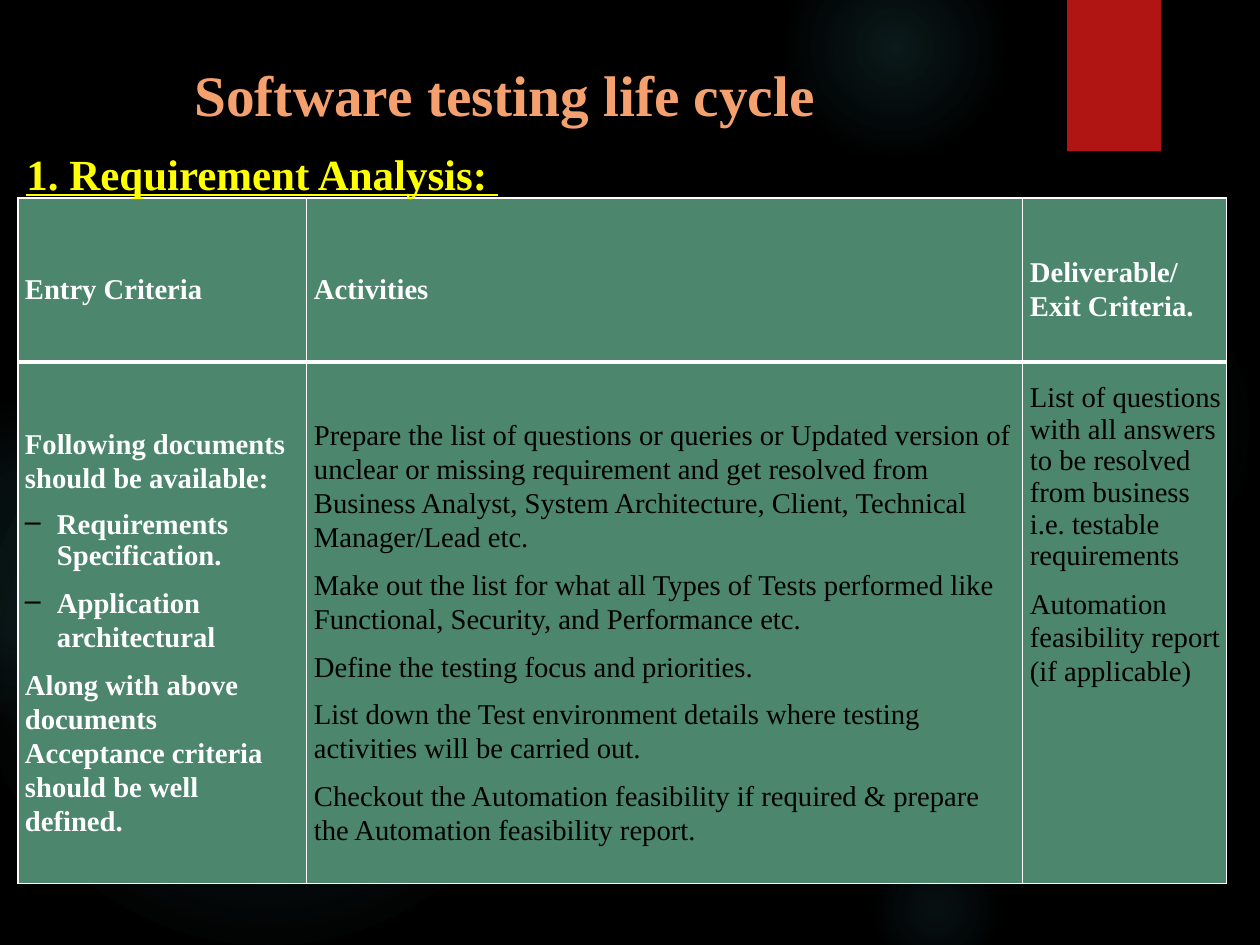
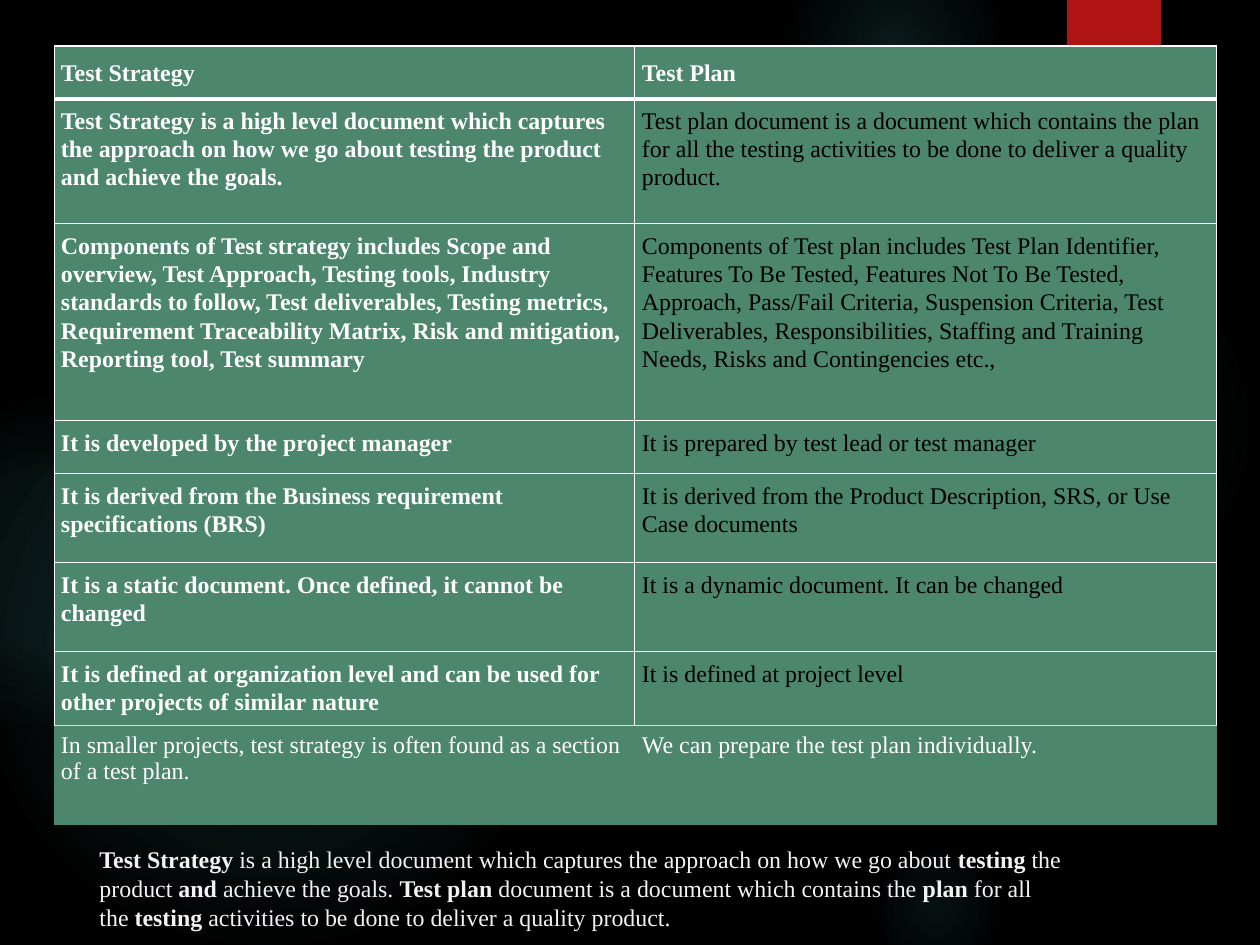
"""Build two slides on the software testing life cycle: requirement analysis, and test strategy against test plan."""
from pptx import Presentation
from pptx.dml.color import RGBColor
from pptx.enum.shapes import MSO_SHAPE as Shape
from pptx.enum.text import MSO_ANCHOR as Anchor
from pptx.oxml import parse_xml
from pptx.oxml.ns import nsdecls, qn
from pptx.util import Pt

PX = 13411200 / 1260
FONT = "Times New Roman"
NBSP = chr(160)
COLORS = {
    "black": "000000",
    "white": "FFFFFF",
    "green": "4B866D",
    "red": "B01513",
    "glow": "50B9C1",
    "title": "F4A16F",
    "heading": "FFFF00",
    "summary": "F2F2F2",
    "rule": "DDDDDD",
}
RGB = {name: RGBColor.from_string(value) for name, value in COLORS.items()}
GRID = {side: ("white", 1) for side in "LRTB"}
HEADER_GRID = GRID | {"B": ("white", 3)}


def px(*lengths):
    return [round(length * PX) for length in lengths]


def write(frame, lines, size, ink, bold=False):
    frame.word_wrap = True
    frame.text = "\n".join(line[0] for line in lines)
    for paragraph, (_, after, spacing, *dash) in zip(frame.paragraphs, lines):
        paragraph.space_after = Pt(after)
        paragraph.line_spacing = spacing
        props = paragraph._p.get_or_add_pPr()
        if dash:
            props.set("marL", str(px(32)[0]))
            props.set("indent", str(px(-32)[0]))
            props.append(parse_xml(f'<a:buClr {nsdecls("a")}><a:srgbClr val="{COLORS["black"]}"/></a:buClr>'))
            props.append(parse_xml(f'<a:buChar {nsdecls("a")} char="{dash[0]}"/>'))
        for run in paragraph.runs:
            run.font.name, run.font.size, run.font.bold = FONT, Pt(size), bold
            run.font.color.rgb = RGB[ink]


prs = Presentation()
prs.slide_width, prs.slide_height = px(1260, 945)
analysis, comparison = [prs.slides.add_slide(prs.slide_layouts[6]) for _ in range(2)]

glows = [
    (868, 231, 388, [(0, 7), (36, 6), (69, 0)]),
    (784, -63, 221, [(0, 14), (36, 7), (73, 0)]),
    (868, 840, 137, [(0, 9), (36, 5), (66, 0)]),
    (-21, 368, 577, [(0, 11), (36, 10), (75, 0)]),
    (-116, 399, 326, [(0, 8), (36, 8), (72, 0)]),
]
for slide in (analysis, comparison):
    slide.background.fill.solid()
    slide.background.fill.fore_color.rgb = RGB["black"]
    for left, top, size, fade in glows:
        glow = slide.shapes.add_shape(Shape.OVAL, *px(left, top, size, size))
        glow.shadow.inherit = False
        glow.line.fill.background()
        stops = "".join(
            f'<a:gs pos="{pos * 1000}"><a:srgbClr val="{COLORS["glow"]}"><a:alpha val="{alpha * 1000}"/></a:srgbClr></a:gs>'
            for pos, alpha in fade
        )
        glow._element.spPr.find(qn("a:prstGeom")).addnext(parse_xml(
            f'<a:gradFill {nsdecls("a")}><a:gsLst>{stops}</a:gsLst><a:path path="circle">'
            '<a:fillToRect l="50000" t="50000" r="50000" b="50000"/></a:path></a:gradFill>'
        ))
    ribbon = slide.shapes.add_shape(Shape.RECTANGLE, *px(1067, 0, 94, 151))
    ribbon.fill.solid()
    ribbon.fill.fore_color.rgb = RGB["red"]
    ribbon.line.fill.background()
    ribbon.shadow.inherit = False
    ribbon._element.spPr.find(qn("a:effectLst")).append(parse_xml(
        f'<a:outerShdw {nsdecls("a")} blurRad="{Pt(3)}" dist="{Pt(2)}" dir="5400000">'
        f'<a:srgbClr val="{COLORS["black"]}"><a:alpha val="45000"/></a:srgbClr></a:outerShdw>'
    ))

title = analysis.shapes.add_textbox(*px(186, 49, 983, 98)).text_frame
write(title, [("Software testing life cycle", 0, 1)], 48, "title", True)
title.margin_top = px(10)[0]

phases = [
    [
        [("Entry Criteria", 0, 1.07)],
        [("Activities", 0, 1.07)],
        [("Deliverable/", 0, 1.07), ("Exit Criteria.", 0, 1.07)],
    ],
    [
        [
            ("Following documents should be available:", 12, 1.07),
            ("Requirements Specification.", 12, 1, "–"),
            ("Application architectural", 12, 1.07, "–"),
            ("Along with above documents", 0, 1.07),
            ("Acceptance criteria should be well defined.", 0, 1.07),
        ],
        [
            ("Prepare the list of questions or queries or Updated version of unclear or missing requirement and get "
             "resolved from Business Analyst, System Architecture, Client, Technical Manager/Lead etc.", 12, 1.07),
            ("Make out the list for what all Types of Tests performed like Functional, Security, and Performance etc.",
             12, 1.07),
            ("Define the testing focus and priorities.", 11, 1.07),
            ("List down the Test environment details where testing activities will be carried out.", 12, 1.07),
            ("Checkout the Automation feasibility if required & prepare the Automation feasibility report.", 0, 1.07),
        ],
        [
            ("List of questions", 0, 1.07),
            ("with all answers to be resolved from business i.e. testable requirements", 12, 1),
            ("Automation", 0, 1.07),
            ("feasibility report (if applicable)", 0, 1.07),
        ],
    ],
]
differences = [
    ("Test Strategy", "Test Plan"),
    ("Test Strategy is a high level document which captures the approach on how we go about testing the product "
     "and achieve the goals.",
     "Test plan document is a document which contains the plan for all the testing activities to be done to deliver "
     "a quality product."),
    ("Components of Test strategy includes Scope and overview, Test Approach, Testing tools, Industry standards to "
     "follow, Test deliverables, Testing metrics, Requirement Traceability Matrix, Risk and mitigation, Reporting "
     "tool, Test summary",
     "Components of Test plan includes Test Plan Identifier, Features To Be Tested, Features Not To Be Tested, "
     "Approach, Pass/Fail Criteria, Suspension Criteria, Test Deliverables, Responsibilities, Staffing and Training "
     "Needs, Risks and Contingencies etc.,"),
    ("It is developed by the project manager", "It is prepared by test lead or test manager"),
    ("It is derived from the Business requirement specifications (BRS)",
     "It is derived from the Product Description, SRS, or Use Case documents"),
    ("It is a static document. Once defined, it cannot be changed", "It is a dynamic document. It can be changed"),
    ("It is defined at organization level and can be used for other projects of similar nature",
     "It is defined at project level"),
]
small_projects = (
    "In smaller projects, test strategy is often found as a section of a test plan.",
    "We can prepare the test plan individually.",
)
summary = [
    "Test Strategy",
    "is a high level document which captures the approach on how we go about",
    "testing",
    "the product",
    "and",
    "achieve the goals.",
    "Test plan",
    "document is a document which contains the",
    "plan",
    "for all the",
    "testing",
    "activities to be done to deliver a quality product.",
]

overview = comparison.shapes.add_textbox(*px(91, 813, 1126, 125)).text_frame
write(overview, [("", 0, 1)], 20, "summary")
overview.margin_top = px(32)[0]
for index, phrase in enumerate(summary):
    run = overview.paragraphs[0].add_run()
    run.text = NBSP + phrase if index else phrase
    run.font.name, run.font.size, run.font.bold = FONT, Pt(20), index % 2 == 0
    run.font.color.rgb = RGB["summary"]

tables = [
    (analysis, (18, 198), (289, 716, 204), (164, 522), phases, 24, (7, 18, 4, 0), True),
    (comparison, (54, 46), (581, 582), (53, 125, 197, 53, 89, 89, 89),
     [[[(text, 8, 1.07)] for text in row] for row in differences], 20, (7, 7, 7, 7), True),
    (comparison, (54, 725), (581, 582), (100,), [[[(text, 0, 1)] for text in small_projects]], 20, (7, 7, 7, 7), False),
]
for slide, corner, widths, heights, rows, size, insets, gridded in tables:
    table = slide.shapes.add_table(len(rows), len(widths), *px(*corner, sum(widths), sum(heights))).table
    table.horz_banding = False
    table.first_row = gridded
    for column, width in zip(table.columns, px(*widths)):
        column.width = width
    for row, height in zip(table.rows, px(*heights)):
        row.height = height
    for r, row in enumerate(rows):
        for c, lines in enumerate(row):
            cell = table.cell(r, c)
            header = gridded and r == 0
            strong = gridded and (header or c == 0)
            write(cell.text_frame, lines, size, "white" if strong or not gridded else "black", strong)
            cell.margin_left, cell.margin_top, cell.margin_right, cell.margin_bottom = px(*insets)
            middle = header or (slide is analysis and c < 2)
            cell.vertical_anchor = Anchor.MIDDLE if middle else Anchor.TOP
            edges = {"T": ("rule", 0.75)} if not gridded else HEADER_GRID if header else GRID
            for side in "LRTB":
                ink, weight = edges.get(side, (None, 0))
                paint = f'<a:solidFill><a:srgbClr val="{COLORS[ink]}"/></a:solidFill>' if ink else "<a:noFill/>"
                cell._tc.get_or_add_tcPr().append(
                    parse_xml(f'<a:ln{side} {nsdecls("a")} w="{Pt(weight)}">{paint}</a:ln{side}>')
                )
            cell.fill.solid()
            cell.fill.fore_color.rgb = RGB["green"]

heading = analysis.shapes.add_textbox(*px(18, 143, 494, 56)).text_frame
write(heading, [("1. Requirement Analysis: ", 0, 1)], 36, "heading", True)
heading.word_wrap = False
heading.paragraphs[0].runs[0].font.underline = True

prs.save("out.pptx")
